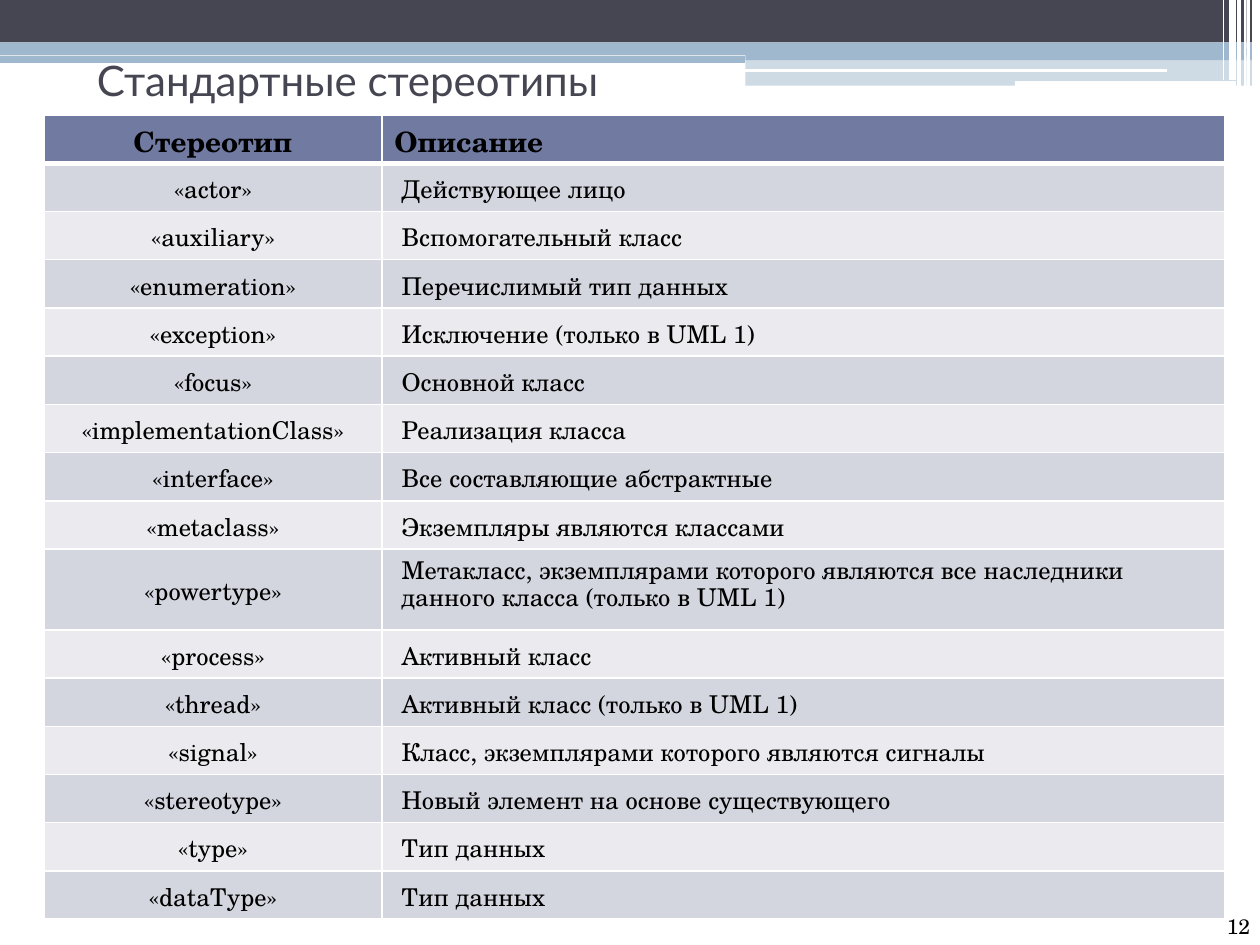
from lxml import etree
from pptx import Presentation
from pptx.dml.color import RGBColor
from pptx.enum import shapes, text
from pptx.oxml import ns
from pptx.util import Pt

HUES = {"dark": "464652", "blue": "9FB8CD", "white": "FFFFFF", "black": "000000",
        "head": "717BA2", "odd": "D4D6DF", "even": "EBEBEF"}
SERIF = "TeX Gyre Schola"
ROWS = [
    ("Стереотип", "Описание"),
    ("«actor»", "Действующее лицо"),
    ("«auxiliary»", "Вспомогательный класс"),
    ("«enumeration»", "Перечислимый тип данных"),
    ("«exception»", "Исключение (только в UML 1)"),
    ("«focus»", "Основной класс"),
    ("«implementationClass»", "Реализация класса"),
    ("«interface»", "Все составляющие абстрактные"),
    ("«metaclass»", "Экземпляры являются классами"),
    ("«powertype»", "Метакласс, экземплярами которого являются все наследники\n"
                    "данного класса (только в UML 1)"),
    ("«process»", "Активный класс"),
    ("«thread»", "Активный класс (только в UML 1)"),
    ("«signal»", "Класс, экземплярами которого являются сигналы"),
    ("«stereotype»", "Новый элемент на основе существующего"),
    ("«type»", "Тип данных"),
    ("«dataType»", "Тип данных"),
]


def hue(name):
    return RGBColor.from_string(HUES[name])


def sub(node, tag, **attrs):
    return etree.SubElement(node, ns.qn(tag), **attrs)


def style(par, size, face, name, bold=False):
    for run in par.runs:
        font = run.font
        font.size, font.name, font.bold = Pt(size), face, bold
        font.color.rgb = hue(name)


def inset(part, top=0):
    part.margin_left = part.margin_right = part.margin_bottom = 0
    part.margin_top = Pt(top)


def indent(par, size):
    par._p.get_or_add_pPr().set("marL", str(Pt(size)))


def bar(slide, left, top, width, height, name, alpha=None):
    box = slide.shapes.add_shape(shapes.MSO_SHAPE.RECTANGLE,
                                 Pt(left), Pt(top), Pt(width), Pt(height))
    box.shadow.inherit = False
    box.line.fill.background()
    box.fill.solid()
    box.fill.fore_color.rgb = hue(name)
    if alpha:
        tint = box._element.spPr.find(".//" + ns.qn("a:srgbClr"))
        sub(tint, "a:alpha", val=str(alpha * 1000))


def rule(slide, x1, y1, x2, y2, name, width):
    line = slide.shapes.add_connector(shapes.MSO_CONNECTOR.STRAIGHT,
                                      Pt(x1), Pt(y1), Pt(x2), Pt(y2))
    line.line.color.rgb = hue(name)
    line.line.width = Pt(width)
    sub(line._element.spPr, "a:effectLst")


def banner(slide, left, top, width):
    """Stacked bars across the top, cut by white rules at the right."""
    mid, end, slit = left + 426, left + width - 7.8, left + width - 5.6
    rule(slide, left, top + 33.9, mid, top + 33.9, "blue", 4.06)
    for start, y, high, name, alpha in [
            (left, 0, 24.2, "dark", None), (left, 24.2, 7.5, "blue", None),
            (mid, 28, 6.5, "blue", None), (mid, 34.5, 14.5, "blue", 50)]:
        bar(slide, slit, top + y, 1, high, name, alpha)
        bar(slide, start, top + y, end - start, high, name, alpha)
    for x1, x2, y, thick in [(425.5, 666.7, 40.3, 2.16), (580.3, 706.3, 47.5, 2.88)]:
        rule(slide, left + x1, top + y, left + x2, top + y, "white", thick)
    for back, high, thick in [(8.6, 49, 0.72), (12.2, 49, 2.16),
                              (15.8, 46, 4.32), (20.9, 46, 0.72)]:
        x = left + width - back
        rule(slide, x, top, x, top + high, "white", thick)


def heading(slide, left, top, width, height):
    box = slide.shapes.title
    box.left, box.top, box.width, box.height = map(Pt, (left, top, width, height))
    frame = box.text_frame
    frame.text = "Стандартные стереотипы"
    frame.auto_size = text.MSO_AUTO_SIZE.NONE
    frame.vertical_anchor = text.MSO_ANCHOR.TOP
    inset(frame, 1)
    par = frame.paragraphs[0]
    par.alignment = text.PP_ALIGN.LEFT
    par.space_before = Pt(1)
    indent(par, 0.7)
    style(par, 24, "Lato", "dark")


def edge(cell, thick):
    """White cell borders; thick names the side that is 3 pt wide."""
    props = cell._tc.get_or_add_tcPr()
    for side in "LRTB":
        line = sub(props, "a:ln" + side, w=str(Pt(3 if side == thick else 1)))
        sub(sub(line, "a:solidFill"), "a:srgbClr", val=HUES["white"])


def fill(cell, row, col, words):
    head, tall = row == 0, ROWS[row][1].count("\n") > 0
    edge(cell, {0: "B", 1: "T"}.get(row))
    cell.fill.solid()
    cell.fill.fore_color.rgb = hue("head" if head else "odd" if row % 2 else "even")
    top, gap = (3, 3.1) if head else (4.2, 4.2)
    if tall:
        top, gap = (5.9, 5.9) if col else (13.4, 13.4)
    inset(cell, top)
    cell.vertical_anchor = text.MSO_ANCHOR.TOP
    cell.text_frame.text = words
    for num, par in enumerate(cell.text_frame.paragraphs):
        par.space_before = Pt(0 if num else gap)
        if col:
            indent(par, 7.2 if head else 11.3)
            if tall:
                par.line_spacing = Pt(15.9)
        else:
            par.alignment = text.PP_ALIGN.CENTER
        style(par, 16 if head else 14, SERIF, "black", head)


def grid(slide, left, top, width, height):
    high = 46.2
    low = (height - high) / (len(ROWS) - 1)
    table = slide.shapes.add_table(len(ROWS), 2, Pt(left), Pt(top),
                                   Pt(width), Pt(height)).table
    table.horz_banding = False
    table.columns[0].width = Pt(193)
    table.columns[1].width = Pt(width - 193)
    for row, pair in enumerate(ROWS):
        table.rows[row].height = Pt(high if "\n" in pair[1] else low)
        for col, words in enumerate(pair):
            fill(table.cell(row, col), row, col, words)


def folio(slide, left, top, width, height):
    frame = slide.shapes.add_textbox(Pt(left), Pt(top), Pt(width), Pt(height)).text_frame
    frame.word_wrap = True
    inset(frame)
    frame.text = "12"
    indent(frame.paragraphs[0], 4)
    style(frame.paragraphs[0], 12, SERIF, "black")


def main():
    deck = Presentation()
    deck.slide_width, deck.slide_height = Pt(720), Pt(540)
    slide = deck.slides.add_slide(deck.slide_layouts[5])
    banner(slide, 0, 0, 720)
    heading(slide, 54.7, 30.2, 377.3, 31)
    grid(slide, 25.2, 65.7, 674.6, 459.5)
    folio(slide, 697, 522, 18, 15.8)
    deck.save("out.pptx")


if __name__ == "__main__":
    main()
